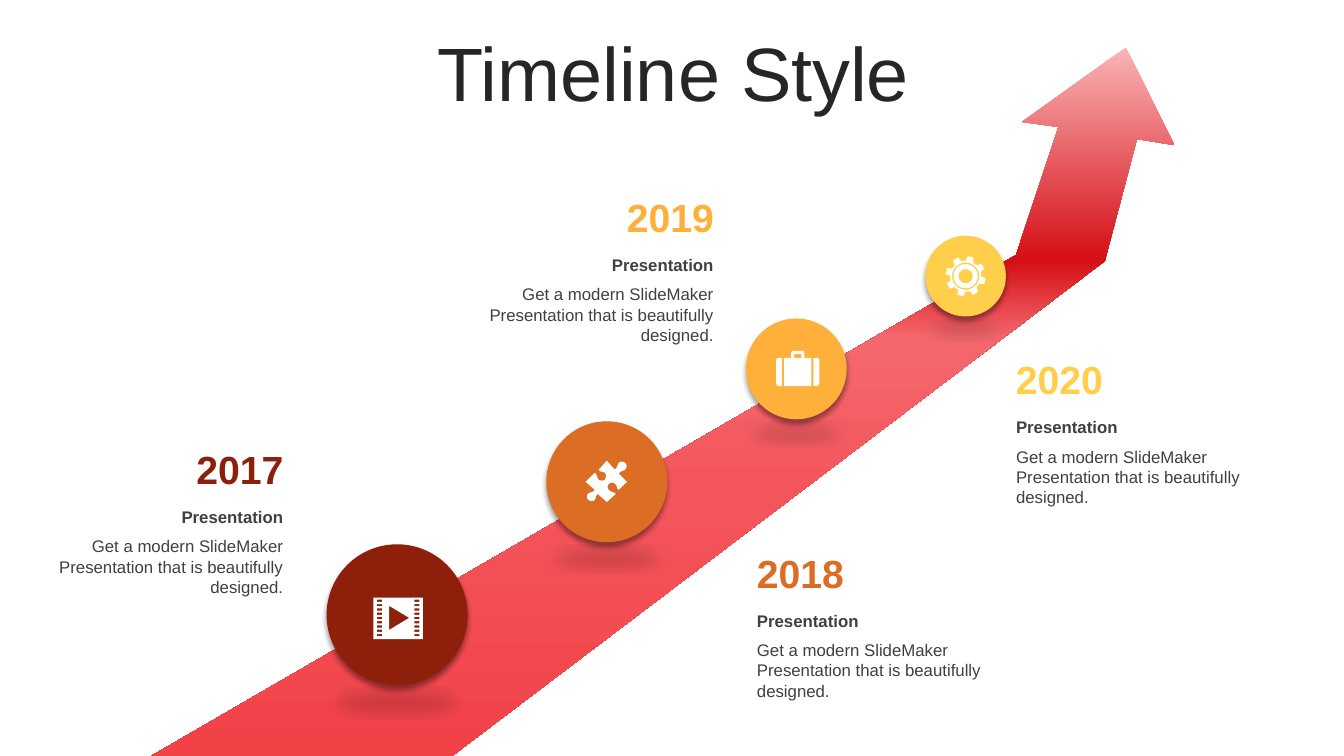
import math

import pptx
import pptx.util
import pptx.dml.color
import pptx.enum.shapes
import pptx.enum.text
import pptx.oxml
import pptx.oxml.ns

Pt = pptx.util.Pt
RGB = pptx.dml.color.RGBColor
ALIGN = pptx.enum.text.PP_ALIGN
ANCHOR = pptx.enum.text.MSO_ANCHOR

WHITE = RGB(0xFF, 0xFF, 0xFF)
INK = RGB(0x26, 0x26, 0x26)
GREY = RGB(0x40, 0x40, 0x40)
MAROON = RGB(0x8E, 0x1F, 0x0B)
RUST = RGB(0xDB, 0x6D, 0x25)
AMBER = RGB(0xFF, 0xB0, 0x3B)
GOLD = RGB(0xFF, 0xCE, 0x4B)
# position in percent, colour
STOPS = [(0, RGB(0xFA, 0xB4, 0xB6)), (30, RGB(0xD4, 0x0F, 0x15)),
         (41, RGB(0xF4, 0x68, 0x6D)), (64, RGB(0xF3, 0x55, 0x5A)),
         (100, RGB(0xF2, 0x42, 0x48))]

TITLE = "Timeline Style"
HEAD = "Presentation"
BODY = "Get a modern SlideMaker Presentation that is beautifully designed."
# year, colour, text left, year top, alignment
LABELS = [
    ("2020", GOLD, 725.76, 250.56, ALIGN.LEFT),
    ("2018", RUST, 540.72, 388.8, ALIGN.LEFT),
    ("2019", AMBER, 346.32, 134.64, ALIGN.RIGHT),
    ("2017", MAROON, 38.88, 314.64, ALIGN.RIGHT),
]
# colour, centre x, centre y, diameter
DISCS = [
    (MAROON, 283.68, 439.2, 100.8),
    (RUST, 433.44, 344.16, 86.4),
    (AMBER, 568.8, 263.52, 72),
    (GOLD, 689.76, 197.28, 57.6),
]
ARROW = [(804.24, 33.84), (838.8, 103.68), (812.16, 99.36), (789.12, 186.48),
         (323, 540), (108, 540), (725.76, 182.16), (756, 90.72), (730.08, 87.12)]

# Icon outlines, measured from the disc centre in units of 0.72 pt.
# Two numbers are a corner; six are a Bezier curve.
UNIT = 0.72
PUZZLE = [
    (18, -19), (20, -17, 20, -15, 19, -13), (17, -10, 14, -12, 12, -8),
    (20, 0), (12, 8), (9, 6, 11, 4, 8, 2), (6, 0, 4, 1, 2, 2),
    (1, 3, 0, 6, 2, 8), (5, 11, 6, 9, 9, 12), (0, 20), (-9, 12),
    (-12, 15, -10, 15, -12, 18), (-14, 20, -17, 19, -18, 18),
    (-20, 17, -20, 14, -19, 12), (-17, 10, -14, 11, -12, 8),
    (-21, 0), (-12, -9), (-9, -7, -10, -4, -8, -2),
    (-6, -1, -3, -1, -2, -2), (-1, -4, 0, -7, -2, -9),
    (-5, -11, -6, -9, -8, -12), (0, -21), (8, -12),
    (11, -15, 10, -16, 12, -19), (14, -21, 17, -20, 18, -19),
]
SIDE = [(17, -11), (20, -11), (22, -11, 23, -10, 23, -8), (23, 13),
        (23, 15, 22, 17, 20, 17), (17, 17)]
CASE = [(-3, -18), (6, -18), (7, -18, 8, -17, 8, -16), (8, -11), (15, -11),
        (15, 17), (-12, 17), (-12, -11), (-5, -11), (-5, -16),
        (-5, -17, -4, -18, -3, -18)]
GRIP = [(-1, -15), (-2, -14), (-2, -11), (5, -11), (5, -14), (4, -15)]
PLAY = [(-8, -9), (-8, 15), (12, 3)]


def trace(path):
    """Turn corners and curves into a plain list of points."""
    pts = []
    for step in path:
        if len(step) == 2:
            pts.append(step)
            continue
        ctrl = [pts[-1], step[:2], step[2:4], step[4:]]
        for i in range(1, 7):
            t = i / 6
            mix = [math.comb(3, k) * t**k * (1 - t)**(3 - k) for k in range(4)]
            pts.append(tuple(sum(m * c[a] for m, c in zip(mix, ctrl)) for a in (0, 1)))
    return pts


def rect(x, y, w, h):
    return [(x, y), (x + w, y), (x + w, y + h), (x, y + h)]


def polar(r, deg):
    return r * math.cos(math.radians(deg)), r * math.sin(math.radians(deg))


def ring(r):
    return [polar(r, deg) for deg in range(0, 360, 10)]


def film():
    holes = [rect(x, -15 + 4.25 * row, 5, 2.2) for x in (-20, 17) for row in range(9)]
    return [rect(-23.5, -17, 49, 41), PLAY] + holes


def case():
    side = trace(SIDE)
    return [trace(CASE), GRIP, side, [(3 - x, y) for x, y in side]]


def gear():
    teeth = [polar(r, -30 + 45 * k + turn) for k in range(8)
             for r, turn in ((15.5, -14), (20, -8.5), (20, 8.5), (15.5, 14))]
    return [teeth, ring(13.5), ring(12), ring(7)]


def plain(shape, color):
    shape.shadow.inherit = False
    shape.line.fill.background()
    shape.fill.solid()
    shape.fill.fore_color.rgb = color


def outline(paths, color, x=0, y=0, unit=1):
    """Draw closed paths as one freeform."""
    build = None
    for path in paths:
        pts = [(Pt(x + unit * px), Pt(y + unit * py)) for px, py in path]
        if build:
            build.move_to(*pts[0])
        else:
            build = shapes.build_freeform(*pts[0], scale=1.0)
        build.add_line_segments(pts[1:], close=True)
    shape = build.convert_to_shape()
    plain(shape, color)
    return shape


def disc(color, x, y, d, blur, dist, alpha, extra=""):
    shape = shapes.add_shape(pptx.enum.shapes.MSO_SHAPE.OVAL,
                             Pt(x - d / 2), Pt(y - d / 2), Pt(d), Pt(d))
    plain(shape, color)
    shade = pptx.oxml.parse_xml(
        f'<a:outerShdw {pptx.oxml.ns.nsdecls("a")} blurRad="{Pt(blur)}" '
        f'dist="{Pt(dist)}" dir="5400000" {extra} rotWithShape="0">'
        f'<a:srgbClr val="000000"><a:alpha val="{alpha * 1000}"/></a:srgbClr>'
        '</a:outerShdw>')
    shape.element.spPr.find(pptx.oxml.ns.qn("a:effectLst")).append(shade)


def write(text, x, y, w, h, align, size, color, bold=False, side=0, **look):
    box = shapes.add_textbox(Pt(x), Pt(y), Pt(w), Pt(h))
    frame = box.text_frame
    para = frame.paragraphs[0]
    run = para.add_run()
    run.text = text
    run.font.color.rgb = color
    for item, form in (
        (frame, {"word_wrap": True, "margin_left": Pt(side), "margin_right": Pt(side),
                 "vertical_anchor": look.get("anchor", ANCHOR.TOP)}),
        (para, {"alignment": align, "line_spacing": look.get("lead", 1.0)}),
        (run.font, {"name": "Arial", "size": Pt(size), "bold": bold}),
    ):
        for name, value in form.items():
            setattr(item, name, value)


deck = pptx.Presentation()
deck.slide_width, deck.slide_height = Pt(960), Pt(540)
shapes = deck.slides.add_slide(deck.slide_layouts[6]).shapes

arrow = outline([ARROW], STOPS[1][1])
arrow.fill.gradient()
arrow.fill.gradient_angle = 270
stops = arrow.element.spPr.find(".//" + pptx.oxml.ns.qn("a:gsLst"))
for old in list(stops):
    stops.remove(old)
for pos, color in STOPS:
    stops.append(pptx.oxml.parse_xml(
        f'<a:gs {pptx.oxml.ns.nsdecls("a")} pos="{pos * 1000}">'
        f'<a:srgbClr val="{color}"/></a:gs>'))

for color, x, y, d in DISCS:
    disc(color, x, y - 1.8, d * 0.94, 12, 8, 15, 'sx="90000" sy="-19000"')
for color, x, y, d in DISCS:
    disc(color, x, y, d, 4, 3, 40)

write(TITLE, 25.2, 26.64, 911.52, 56.88, ALIGN.CENTER, 54, INK,
      side=7.2, anchor=ANCHOR.MIDDLE, lead=0.9)

for icon, (color, x, y, d) in zip((film(), [trace(PUZZLE)], case(), gear()), DISCS):
    outline(icon, WHITE, x, y, UNIT)

WIDE, YEAR, PAD = 163.44, 94.32, 7.2
for year, color, x, y, align in LABELS:
    left = x - PAD if align == ALIGN.LEFT else x + WIDE + PAD - YEAR
    write(HEAD, x, y + 43.92, WIDE, 21.6, align, 12, GREY, bold=True)
    write(BODY, x, y + 64.8, WIDE, 51.12, align, 12, GREY)
    write(year, left, y, YEAR, 41.04, align, 28, color, bold=True, side=PAD)

deck.save("out.pptx")
